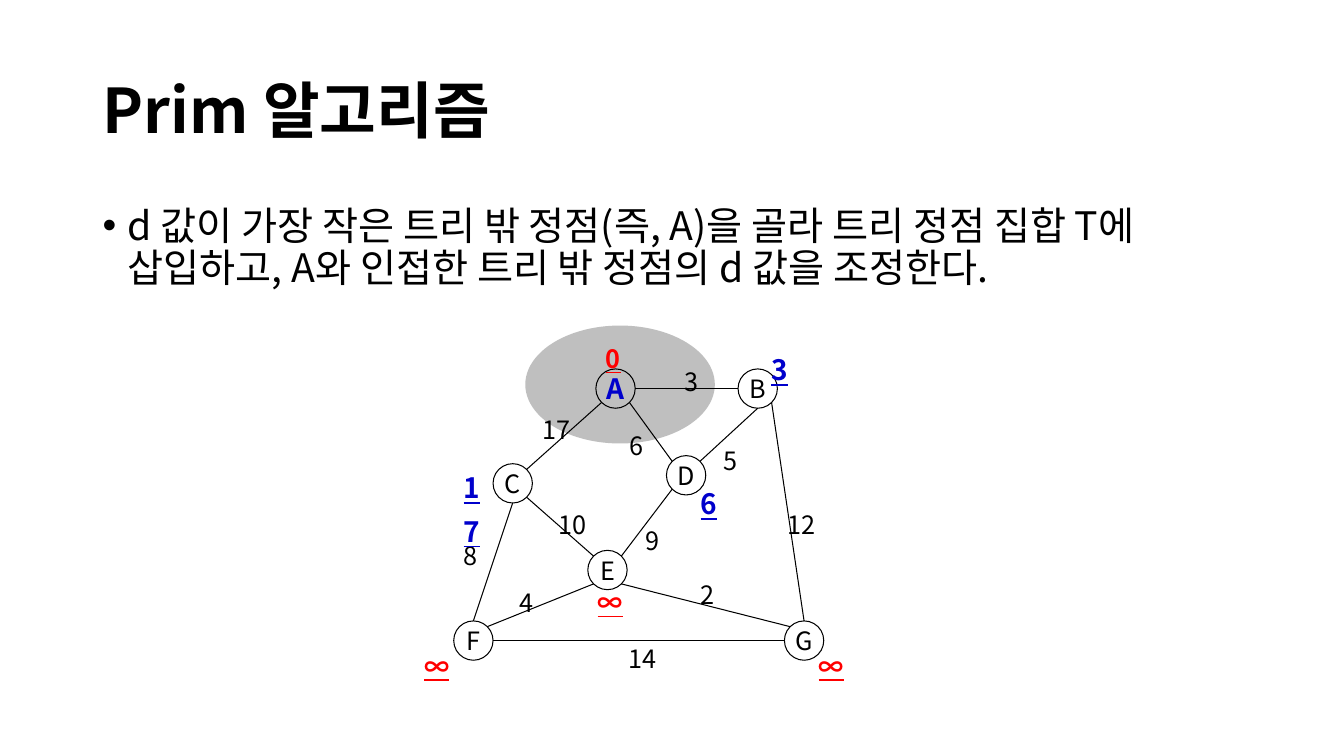
from math import cos, radians, sin

from lxml import etree
from pptx import Presentation
from pptx.dml.color import RGBColor
from pptx.enum.shapes import MSO_CONNECTOR, MSO_SHAPE
from pptx.enum.text import MSO_ANCHOR, MSO_AUTO_SIZE, PP_ALIGN
from pptx.oxml.ns import qn
from pptx.util import Inches, Pt

THEME = {
    "font": "Noto Sans CJK KR",
    "black": RGBColor(0x00, 0x00, 0x00),
    "blue": RGBColor(0x00, 0x00, 0xCC),
    "red": RGBColor(0xFF, 0x00, 0x00),
    "gray": RGBColor(0xBF, 0xBF, 0xBF),
    "title": Pt(44),
    "body": Pt(28),
    "key": Pt(20),
    "label": Pt(18),
    "line": Pt(0.75),
}


def write(tf, text, size, color="black", spacing=1.0, align=PP_ALIGN.LEFT, **style):
    p = tf.paragraphs[0]
    p.alignment, p.line_spacing, p.space_before = align, spacing, Pt(0)
    r = p.add_run()
    r.text = text
    values = {"name": THEME["font"], "size": THEME[size], **style}
    for name, value in values.items():
        setattr(r.font, name, value)
    r.font.color.rgb = THEME[color]
    etree.SubElement(r.font._element, qn("a:ea"), typeface=THEME["font"])
    return p


def add_label(text, left, top, width, height, size, color="black", wrap=False, **style):
    tf = s.shapes.add_textbox(Inches(left), Inches(top), Inches(width), Inches(height)).text_frame
    tf.word_wrap = wrap
    tf.auto_size = MSO_AUTO_SIZE.SHAPE_TO_FIT_TEXT
    write(tf, text, size, color, 1.3, **style)


prs = Presentation()
prs.slide_width, prs.slide_height = Inches(13.33), Inches(7.5)
s = prs.slides.add_slide(prs.slide_layouts[5])

title = s.shapes.title
place = {"left": 0.92, "top": 0.4, "width": 11.5, "height": 1.45}
for name, value in place.items():
    setattr(title, name, Inches(value))
tf = title.text_frame
tf.word_wrap = True
tf.auto_size = MSO_AUTO_SIZE.NONE
tf.vertical_anchor = MSO_ANCHOR.MIDDLE
write(tf, "Prim 알고리즘", "title", spacing=0.9, bold=True)

tf = s.shapes.add_textbox(Inches(0.92), Inches(2), Inches(11.5), Inches(4.76)).text_frame
tf.word_wrap = True
p = write(
    tf,
    "d 값이 가장 작은 트리 밖 정점(즉, A)을 골라 트리 정점 집합 T에 "
    "삽입하고, A와 인접한 트리 밖 정점의 d 값을 조정한다.",
    "body",
    spacing=0.9,
)
pPr = p._p.get_or_add_pPr()
pPr.set("marL", str(Inches(0.25)))
pPr.set("indent", str(-Inches(0.25)))
etree.SubElement(pPr, qn("a:buFont"), typeface="Arial")
etree.SubElement(pPr, qn("a:buChar"), char="•")

tree = s.shapes.add_shape(MSO_SHAPE.OVAL, Inches(5.21), Inches(3.23), Inches(1.88), Inches(1.17))
tree.shadow.inherit = False
tree.fill.solid()
tree.fill.fore_color.rgb = THEME["gray"]
tree.line.fill.background()

NODE = 0.39
nodes = {
    "A": (5.91, 3.66),
    "B": (7.32, 3.66),
    "C": (4.89, 4.6),
    "D": (6.61, 4.52),
    "E": (5.83, 5.46),
    "F": (4.5, 6.16),
    "G": (7.78, 6.16),
}
for name, (left, top) in nodes.items():
    sp = s.shapes.add_shape(MSO_SHAPE.OVAL, Inches(left), Inches(top), Inches(NODE), Inches(NODE))
    sp.shadow.inherit = False
    sp.fill.background()
    sp.line.color.rgb = THEME["black"]
    sp.line.width = THEME["line"]
    tf = sp.text_frame
    tf.word_wrap = False
    tf.vertical_anchor = MSO_ANCHOR.MIDDLE
    if name == "A":
        write(tf, name, "key", "blue", align=PP_ALIGN.CENTER, bold=True)
    else:
        write(tf, name, "label", align=PP_ALIGN.CENTER)

sides = ["E", "SE", "S", "SW", "W", "NW", "N", "NE"]
edges = [
    ("A", "SW", "C", "NE"),
    ("D", "SW", "E", "NE"),
    ("D", "NW", "A", "SE"),
    ("C", "SE", "E", "NW"),
    ("C", "S", "F", "N"),
    ("E", "SW", "F", "NE"),
    ("E", "SE", "G", "NW"),
    ("B", "W", "A", "E"),
    ("D", "NE", "B", "S"),
    ("G", "N", "B", "SE"),
    ("G", "W", "F", "E"),
]
for start, start_side, end, end_side in edges:
    ends = []
    for node, side in ((start, start_side), (end, end_side)):
        angle = radians(45 * sides.index(side))
        left, top = nodes[node]
        ends.append(Inches(left + NODE / 2 * (1 + cos(angle))))
        ends.append(Inches(top + NODE / 2 * (1 + sin(angle))))
    line = s.shapes.add_connector(MSO_CONNECTOR.STRAIGHT, *ends)
    line.line.color.rgb = THEME["black"]
    line.line.width = THEME["line"]
    etree.SubElement(line._element.spPr, qn("a:effectLst"))

weights = [
    ("3", 6.69, 3.5),
    ("17", 5.28, 3.97),
    ("6", 6.14, 4.13),
    ("5", 7.08, 4.28),
    ("12", 7.71, 4.91),
    ("9", 6.3, 5.07),
    ("10", 5.44, 4.91),
    ("8", 4.5, 5.22),
    ("14", 6.14, 6.24),
    ("2", 6.85, 5.61),
    ("4", 5.05, 5.69),
]
for text, left, top in weights:
    add_label(text, left, top, 0.2 + 0.15 * len(text), 0.44, "label")

distances = [
    ("0", 5.91, 3.27, 0.35, "label", "red"),
    ("3", 7.55, 3.35, 0.36, "key", "blue"),
    ("6", 6.85, 4.68, 0.36, "key", "blue"),
    ("17", 4.5, 4.52, 0.36, "key", "blue"),
    ("∞", 5.83, 5.69, 0.43, "label", "red"),
    ("∞", 4.11, 6.32, 0.43, "label", "red"),
    ("∞", 8.02, 6.32, 0.43, "label", "red"),
]
for text, left, top, width, size, color in distances:
    height = 0.54 if size == "key" else 0.44
    add_label(text, left, top, width, height, size, color, text == "17", bold=True, underline=True)

prs.save("out.pptx")
